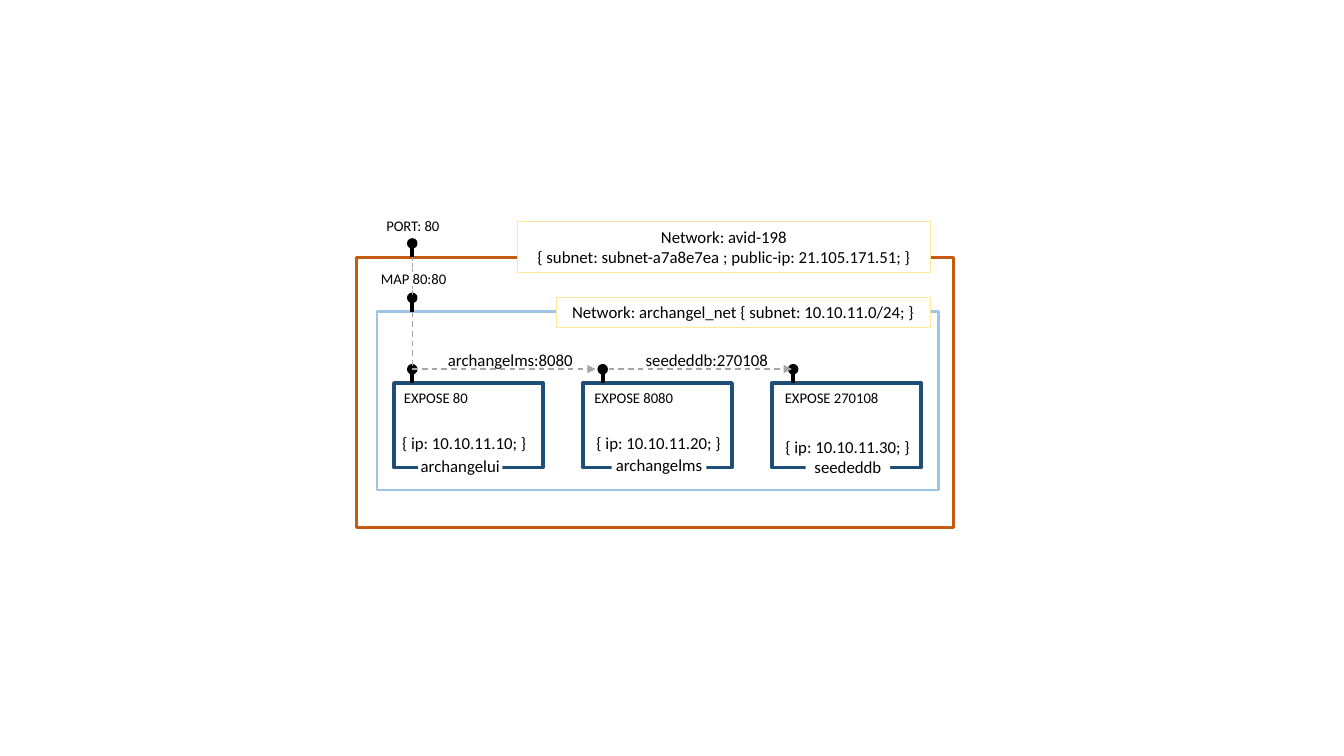
from pptx import Presentation
from pptx.dml.color import RGBColor
from pptx.enum.dml import MSO_LINE as DASH
from pptx.enum.shapes import MSO_CONNECTOR as CONN, MSO_SHAPE as SHAPE
from pptx.enum.text import PP_ALIGN as ALIGN, MSO_ANCHOR as ANCHOR
from pptx.oxml.ns import qn
from pptx.util import Cm, Pt
from lxml.etree import SubElement

COLORS = {"black": "000000", "white": "FFFFFF", "navy": "1F4E79", "sky": "9DC3E6",
          "rust": "C55A11", "cream": "FFE699", "gray": "A5A5A5"}
FONT = "Calibri"
SMALL, NORMAL = 10.5, 12


def rgb(name):
    """Return the named colour."""
    return RGBColor.from_string(COLORS[name])


def add_box(s, box, fill=None, line=None, width=1, kind=SHAPE.RECTANGLE):
    """Draw a preset shape in box (left, top, width, height in cm)."""
    sp = s.shapes.add_shape(kind, *map(Cm, box))
    sp.shadow.inherit = False
    if fill:
        sp.fill.solid()
        sp.fill.fore_color.rgb = rgb(fill)
    else:
        sp.fill.background()
    if line:
        sp.line.color.rgb = rgb(line)
        sp.line.width = Pt(width)
    else:
        sp.line.fill.background()
    return sp


def add_line(s, start, end, color="gray", width=1, dash=None, arrow=False):
    """Draw a straight connector, with an arrowhead at its end if asked."""
    c = s.shapes.add_connector(CONN.STRAIGHT, *map(Cm, start + end))
    c.line.color.rgb = rgb(color)
    c.line.width = Pt(width)
    if dash:
        c.line.dash_style = dash
    if arrow:
        SubElement(c.line._get_or_add_ln(), qn("a:tailEnd"), type="triangle")
    SubElement(c._element.spPr, qn("a:effectLst"))


def write(sp, lines, size=NORMAL, align=ALIGN.CENTER, anchor=ANCHOR.TOP):
    """Fill a shape with one paragraph per line."""
    tf = sp.text_frame
    tf.word_wrap = True
    tf.vertical_anchor = anchor
    tf.margin_left = Cm(0.25 if align == ALIGN.LEFT else 0)
    tf.margin_right = 0
    for i, line in enumerate(lines):
        p = tf.paragraphs[0] if i == 0 else tf.add_paragraph()
        p.alignment = align
        r = p.add_run()
        r.text = line
        r.font.name, r.font.size = FONT, Pt(size)
        r.font.color.rgb = rgb("black")


def add_label(s, box, text, size=NORMAL, align=ALIGN.CENTER):
    """Place a one-line text box."""
    write(s.shapes.add_textbox(*map(Cm, box)), [text], size, align)


def add_pin(s, x, y):
    """Draw a port pin standing on the edge at (x, y)."""
    dot = 0.23
    add_box(s, (x - dot / 2, y - 0.46, dot, dot), "black", "black", 1, SHAPE.OVAL)
    add_line(s, (x, y - 0.25), (x, y), "black", 3)


def add_network(s, box, color, label_box, lines):
    """Outline a network and put its title, placed relative to it, on the edge."""
    left, top = box[:2]
    dx, dy, w, h = label_box
    add_box(s, box, line=color, width=2)
    sp = add_box(s, (left + dx, top + dy, w, h), "white", "cream", 0.75)
    write(sp, lines, anchor=ANCHOR.MIDDLE)


def add_container(s, box, pin_x, port, ip, ip_at, name, name_at, gap):
    """Draw a container with its port pin, address and name on the lower edge."""
    left, top, w, h = box
    add_box(s, box, "white", "navy", 2.5)
    add_label(s, (pin_x - 0.46, top + 0.03, 3.33, 0.73), f"EXPOSE {port}", SMALL, ALIGN.LEFT)
    add_pin(s, pin_x, top)
    ip_x, ip_y = left + ip_at[0], top + ip_at[1]
    add_label(s, (ip_x - 2.3, ip_y, 4.6, 0.76), ip)
    name_x, name_y = left + name_at[0], top + name_at[1]
    add_box(s, (name_x - gap / 2, name_y + 0.22, gap, 0.36), "white")
    add_label(s, (name_x - 1.35, name_y, 2.7, 0.76), name)


def add_entry(s, x, box, text, align):
    """Label an entry port, hiding whatever runs behind the text."""
    left, top, w, h = box
    add_box(s, (x - 0.16, top + 0.2, 0.32, 0.33), "white")
    add_label(s, box, text, SMALL, align)


def add_diagram(s, box):
    """Draw the nested networks, their containers and the links between ports."""
    left, top, w, h = box
    inner_top = top + 1.37
    row_top = top + 3.17
    pins = [left + 1.4 + 4.8 * i for i in range(3)]
    entry = pins[0]
    add_network(s, (left + 0.51, inner_top, 14.15, 4.5), "sky",
                (4.52, -0.36, 9.42, 0.76),
                ["Network: archangel_net { subnet: 10.10.11.0/24; }"])
    add_network(s, box, "rust", (4.06, -0.89, 10.39, 1.27),
                ["Network: avid-198",
                 "{ subnet: subnet-a7a8e7ea ; public-ip: 21.105.171.51; }"])
    containers = [
        (80, "{ ip: 10.10.11.10; }", (1.77, 1.12), "archangelui", (1.67, 1.71), 2.13),
        (8080, "{ ip: 10.10.11.20; }", (1.91, 1.14), "archangelms", (1.92, 1.69), 2.39),
        (270108, "{ ip: 10.10.11.30; }", (1.91, 1.23), "seededdb", (1.92, 1.74), 2.13),
    ]
    for i, parts in enumerate(containers):
        add_container(s, (left + 0.94 + 4.76 * i, row_top, 3.76, 2.13), pins[i], *parts)
    for y in (top, inner_top):
        add_pin(s, entry, y)

    link_y = row_top - 0.35
    add_line(s, (entry, top), (entry, top + 0.96), dash=DASH.SQUARE_DOT)
    add_line(s, (entry, inner_top), (entry, link_y), dash=DASH.DASH)
    add_entry(s, entry, (left + 0.36, top + 0.2, 2.31, 0.74), "MAP 80:80", ALIGN.LEFT)
    add_entry(s, entry, (left + 0.26, top - 1.14, 2.31, 0.74), "PORT: 80", ALIGN.CENTER)
    links = [(entry, 1.87, "archangelms:8080"), (pins[1] + 0.15, 6.82, "seededdb:270108")]
    for x, label_x, text in links:
        add_line(s, (x, link_y), (x + 4.62, link_y), dash=DASH.DASH, arrow=True)
        add_label(s, (left + label_x, link_y - 0.61, 4.01, 0.76), text)


prs = Presentation()
prs.slide_width, prs.slide_height = Cm(33.87), Cm(19.05)
slide = prs.slides.add_slide(prs.slide_layouts[6])
add_diagram(slide, (8.99, 6.48, 15.04, 6.81))
prs.save("out.pptx")
